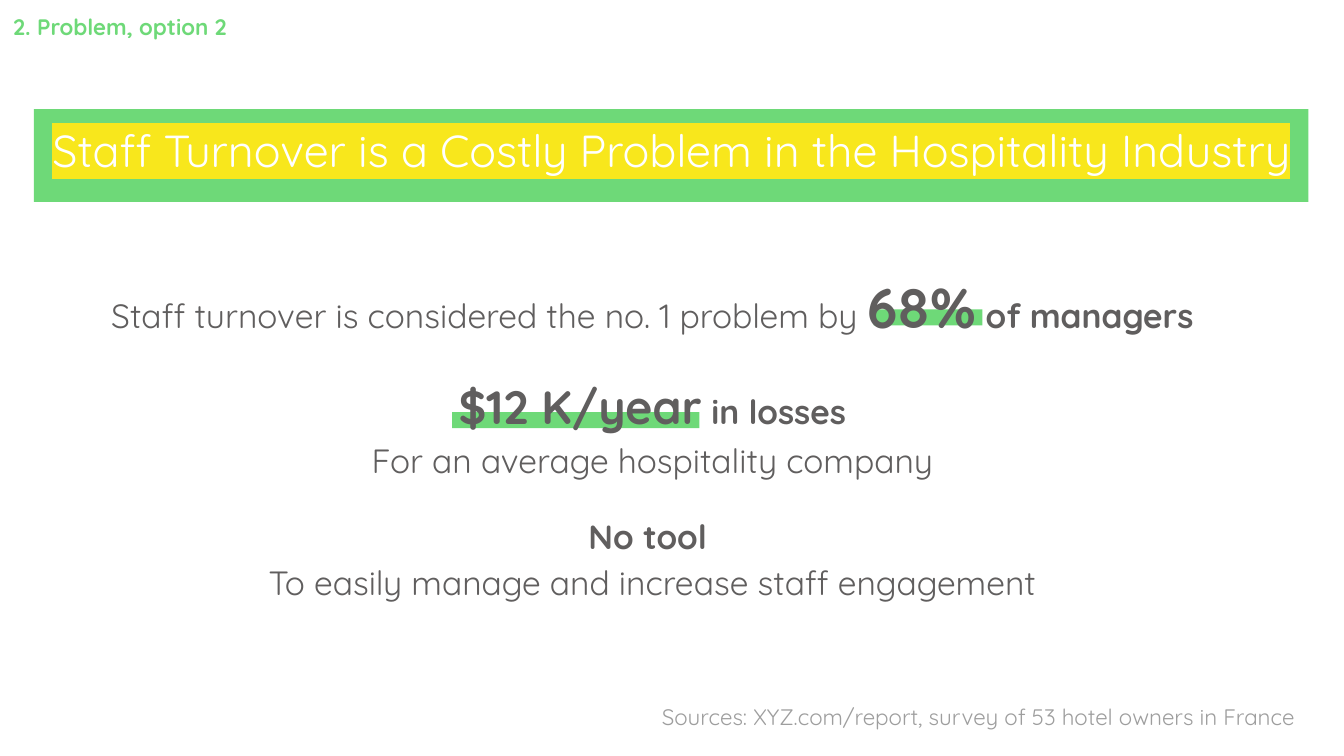
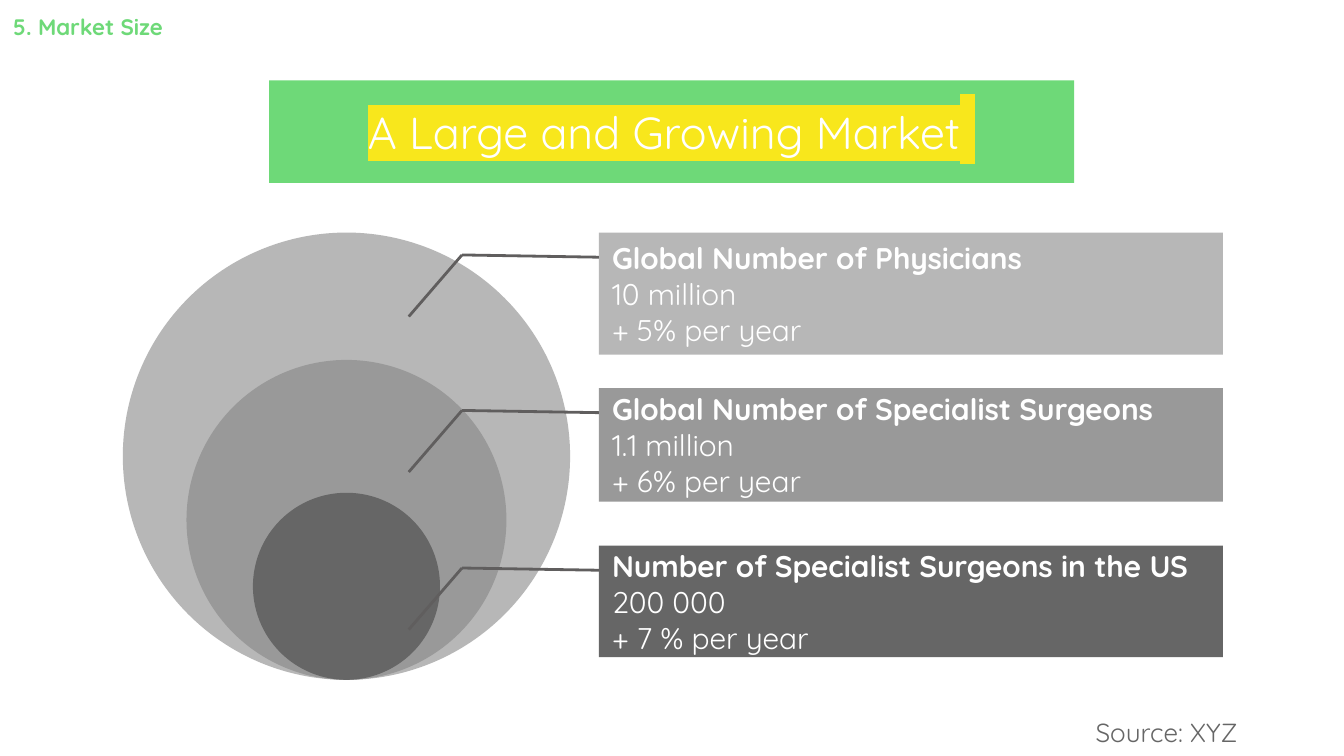
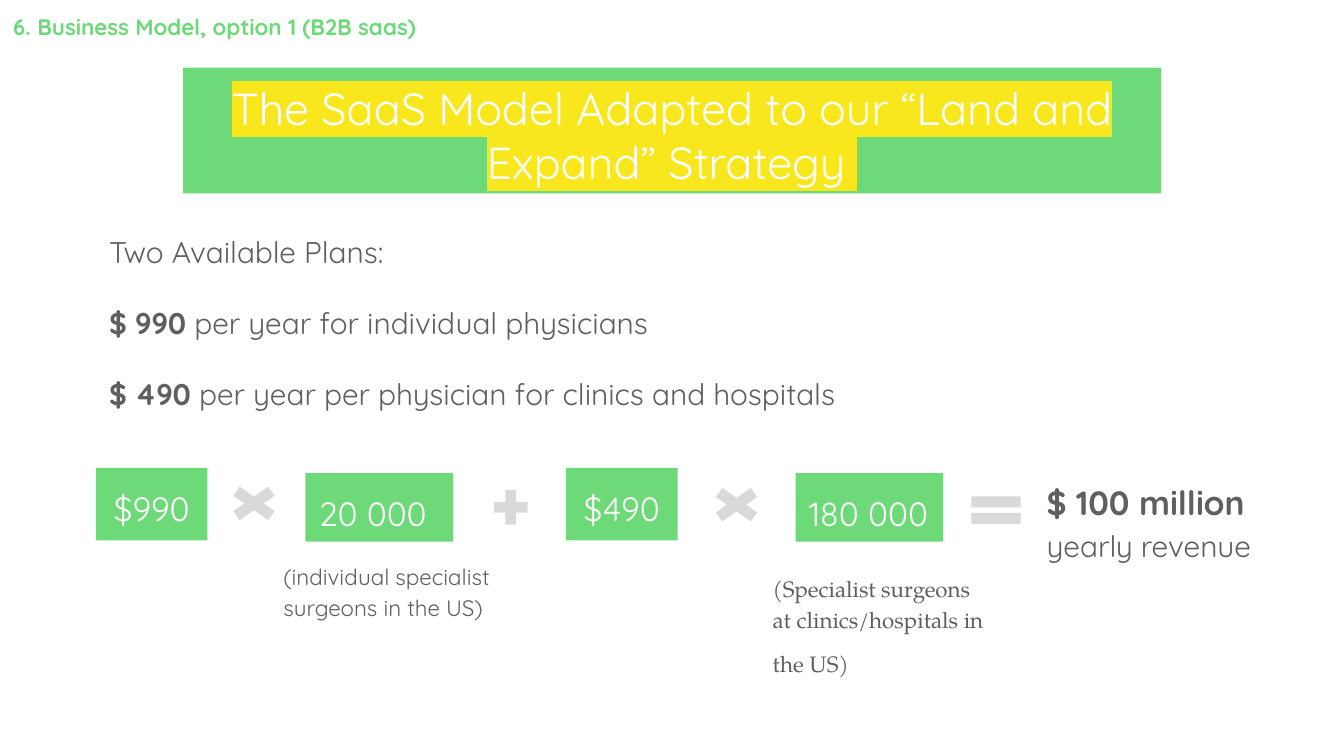
from lxml import etree
from pptx import Presentation
from pptx.dml.color import RGBColor
from pptx.enum.shapes import MSO_CONNECTOR, MSO_SHAPE
from pptx.enum.text import MSO_ANCHOR, MSO_AUTO_SIZE, PP_ALIGN
from pptx.oxml.ns import qn
from pptx.util import Pt

LEFT, CENTER = PP_ALIGN.LEFT, PP_ALIGN.CENTER
TOP, MIDDLE = MSO_ANCHOR.TOP, MSO_ANCHOR.MIDDLE
RECT, OVAL = MSO_SHAPE.RECTANGLE, MSO_SHAPE.OVAL
TIMES, PLUS, EQUAL = MSO_SHAPE.MATH_MULTIPLY, MSO_SHAPE.MATH_PLUS, MSO_SHAPE.MATH_EQUAL
STRAIGHT = MSO_CONNECTOR.STRAIGHT

GREEN, YELLOW, WHITE = "6ED978", "F8E71C", "FFFFFF"
INK, DARK, MID, LIGHT = "605E5E", "666666", "999999", "B7B7B7"
SYMBOL, PALE = "D9D9D9", "9E9E9E"
SANS, SERIF = "Quicksand", "TeX Gyre Pagella"
INSET = 7.2
BREAK = None
TITLE_ONLY = 5


# Shared helpers: a box is (left, top, width, height) in points
def color(value):
    return RGBColor.from_string(value)


def lengths(box):
    return [Pt(value) for value in box]


def add_span(para, text, size, tint, bold=False, font=SANS, highlight=None):
    span = para.add_run()
    span.text = text
    span.font.size = Pt(size)
    span.font.bold = bold
    span.font.name = font
    span.font.color.rgb = color(tint)
    if highlight:
        mark = etree.Element(qn("a:highlight"))
        etree.SubElement(mark, qn("a:srgbClr"), val=highlight)
        span.font._element.find(qn("a:latin")).addprevious(mark)


def write(shape, paras, tint=INK, align=LEFT, anchor=TOP, spacing=1.0, gap=0, **style):
    """Fill a shape with paragraphs, each a list of (text, size, bold) spans."""
    frame = shape.text_frame
    frame.word_wrap = True
    frame.auto_size = MSO_AUTO_SIZE.NONE
    frame.vertical_anchor = anchor
    frame.margin_left = frame.margin_right = Pt(INSET)
    frame.margin_top = frame.margin_bottom = Pt(INSET)
    for index, spans in enumerate(paras):
        para = frame.add_paragraph() if index else frame.paragraphs[0]
        para.alignment = align
        para.line_spacing = spacing
        if index:
            para.space_before = Pt(gap)
        for item in spans:
            if item is BREAK:
                para.add_line_break()
            else:
                text, size, bold = item
                add_span(para, text, size, tint, bold, **style)


def add_text(page, box, paras, **style):
    write(page.shapes.add_textbox(*lengths(box)), paras, **style)


def add_block(page, kind, box, fill):
    shape = page.shapes.add_shape(kind, *lengths(box))
    shape.shadow.inherit = False
    shape.fill.solid()
    shape.fill.fore_color.rgb = color(fill)
    shape.line.fill.background()
    return shape


def add_rule(page, start, end):
    rule = page.shapes.add_connector(STRAIGHT, *lengths(start + end))
    rule.line.color.rgb = color(INK)
    rule.line.width = Pt(1.5)
    etree.SubElement(rule._element.spPr, qn("a:effectLst"))


def start_page(deck, section, title, title_box):
    """Add a page with its section label and green title band."""
    page = deck.slides.add_slide(deck.slide_layouts[TITLE_ONLY])
    band = page.shapes.title
    band.left, band.top, band.width, band.height = lengths(title_box)
    band.fill.solid()
    band.fill.fore_color.rgb = color(GREEN)
    write(band, [title], tint=WHITE, align=CENTER, highlight=YELLOW)
    add_text(page, (0, 0, 248, 35), [[(section, 12, True)]], tint=GREEN)
    return page


# Problem
def problem_page(deck):
    page = start_page(
        deck, "2. Problem, option 2",
        [("Staff Turnover is a Costly Problem in the Hospitality Industry", 24, False)],
        (18.2, 58.5, 682.8, 49.7))
    problem_facts(page, (24, 133.2, 651, 172))
    add_text(page, (347.5, 369.5, 365, 24.5),
             [[("Sources: XYZ.com/report, survey of 53 hotel owners in France", 12, False)]],
             tint=PALE)


def problem_facts(page, box):
    left, top = box[:2]
    for x, y, width in ((218.2, 87.6, 132.5), (444, 32.6, 58.3)):
        add_block(page, RECT, (left + x, top + y, width, 8.6), GREEN)
    add_text(page, box, [
        [("Staff turnover is considered the no. 1 problem by ", 18, False),
         ("68%", 30, True), (" of managers", 18, True)],
        [("$12 K/year", 25, True), (" in losses", 18, True), BREAK,
         ("For an average hospitality company", 18, False)],
        [("No tool ", 18, True), BREAK,
         ("To easily manage and increase staff engagement", 18, False)],
    ], align=CENTER, spacing=1.15, gap=16)


# Market size
def market_page(deck):
    page = start_page(
        deck, "5. Market Size",
        [("A Large and Growing Market", 24, False), (" ", 30, False)],
        (144.2, 43, 431.3, 55))
    market_tiers(page, (65.8, 124.6, 589.4, 239.6))
    add_text(page, (578, 376.5, 94, 24.5), [[("Source: XYZ", 14, False)]],
             tint=DARK, align=CENTER)


def market_tiers(page, box):
    left, top, width, height = box
    card_left = left + 255
    # fill, circle diameter, card offset, card height, card lines
    tiers = [
        (LIGHT, height, 0, 65.4,
         ("Global Number of Physicians", "10 million", "+ 5% per year")),
        (MID, 171.4, 83.3, 60.9,
         ("Global Number of Specialist Surgeons", "1.1 million", "+ 6% per year")),
        (DARK, 100.2, 167.7, 59.8,
         ("Number of Specialist Surgeons in the US", "200 000", "+ 7 % per year")),
    ]
    for fill, size, offset, card_height, lines in tiers:
        group = page.shapes.add_group_shape()
        circle_left = left + (height - size) / 2
        add_block(group, OVAL, (circle_left, top + height - size, size, size), fill)
        card = add_block(
            group, RECT, (card_left, top + offset, left + width - card_left, card_height), fill)
        paras = [[(line, 16, index == 0)] for index, line in enumerate(lines)]
        write(card, paras, tint=WHITE, anchor=MIDDLE)
    # Bent leader from each card into its circle
    for tier in tiers:
        y = top + tier[2]
        elbow = (left + 181.7, y + 12)
        add_rule(page, (left + 153.2, y + 45), elbow)
        add_rule(page, elbow, (card_left, y + 13.2))


# Business model
def business_page(deck):
    page = start_page(
        deck, "6. Business Model, option 1 (B2B saas)",
        [("The SaaS Model Adapted to our “Land and Expand” Strategy ", 24, False)],
        (98, 36.2, 524, 67.5))
    add_text(page, (51.4, 115.2, 547, 121), [
        [("Two Available Plans:", 16, False)],
        [("$ 990", 16, True), (" per year for individual physicians", 16, False)],
        [("$ 490", 16, True),
         (" per year per physician for clinics and hospitals", 16, False)],
    ], spacing=1.15, gap=16)
    revenue_formula(page, (51.4, 247.7, 651, 115))


def revenue_formula(page, box):
    left, top = box[:2]
    price, count = (59.8, 38.8), (79, 36.7)
    # Factors: text, offset, size, alignment
    for text, x, y, size, align in (
            ("$990", 0, 3, price, CENTER), ("$490", 251.8, 3, price, CENTER),
            ("20 000", 112.2, 5.8, count, LEFT), ("180 000", 374.8, 5.8, count, LEFT)):
        factor = add_block(page, RECT, (left + x, top + y, *size), GREEN)
        write(factor, [[(text, 18, False)]], tint=WHITE, align=align, spacing=1.15)
    # Operators: kind, offset, width, adjustments
    for kind, x, y, width, adjustments in (
            (TIMES, 66.7, 9.4, 36, [0.235]), (PLUS, 210, 11.5, 24.5, [0.235]),
            (TIMES, 325.2, 10.1, 36, [0.235]), (EQUAL, 464.2, 13, 36, [0.235, 0.118])):
        sign = add_block(page, kind, (left + x, top + y, width, 25.2), SYMBOL)
        for index, value in enumerate(adjustments):
            sign.adjustments[index] = value
    # Captions and result
    add_text(page, (left + 93.3, top + 44.6, 129, 36.7),
             [[("(individual specialist surgeons in the US)", 12, False)]], spacing=1.15)
    add_text(page, (left + 355.4, top + 51.1, 129, 63.4),
             [[("(Specialist surgeons at clinics/hospitals in the US)", 12, False),
               (" ", 18, False)]], spacing=1.15, font=SERIF)
    add_text(page, (left + 502.3, top, 148.3, 75.6),
             [[("$ 100 million ", 18, True), ("yearly revenue", 16, False)]], spacing=1.15)


def main():
    deck = Presentation()
    deck.slide_width, deck.slide_height = Pt(720), Pt(405)
    problem_page(deck)
    market_page(deck)
    business_page(deck)
    deck.save("out.pptx")


if __name__ == "__main__":
    main()
